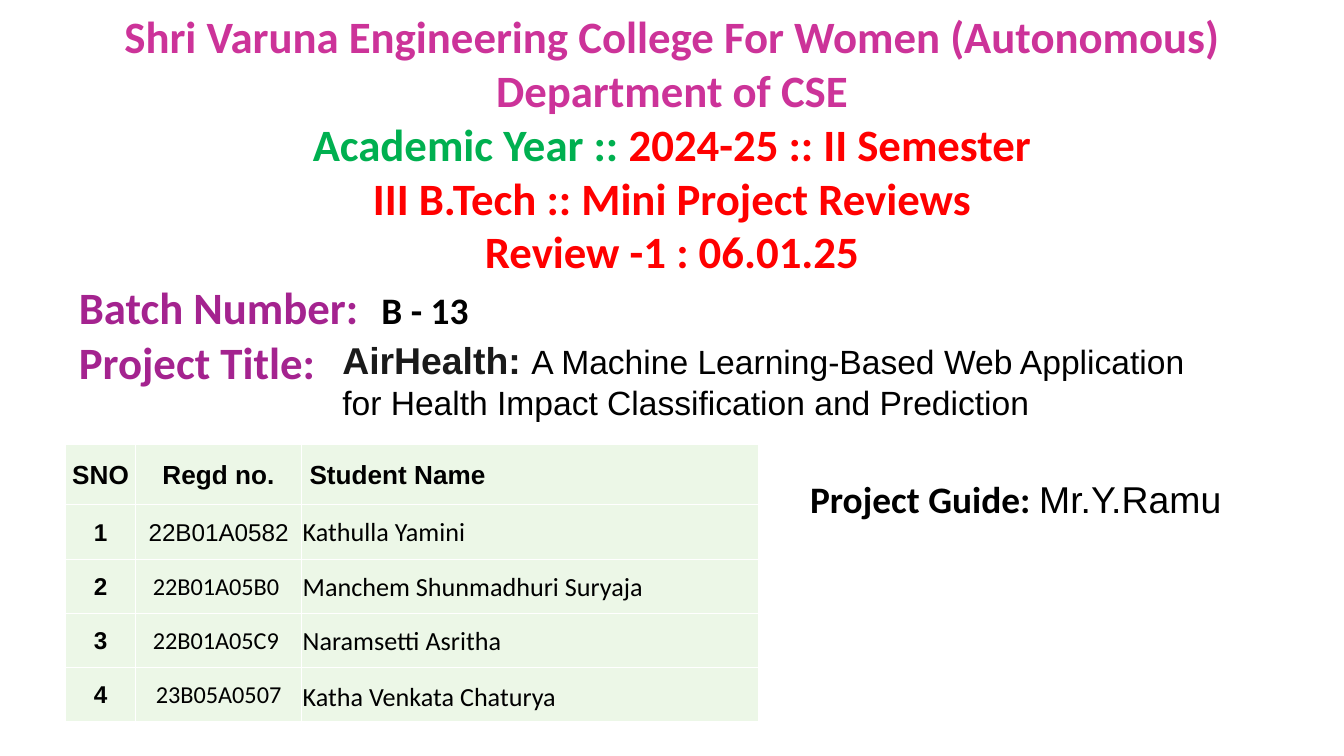
from lxml import etree
from pptx import Presentation
from pptx.dml.color import RGBColor
from pptx.enum.text import MSO_ANCHOR, PP_ALIGN
from pptx.oxml.ns import qn
from pptx.util import Cm, Pt

LEFT, CENTER, MIDDLE = PP_ALIGN.LEFT, PP_ALIGN.CENTER, MSO_ANCHOR.MIDDLE
PINK = RGBColor(0xCC, 0x33, 0x99)
PURPLE = RGBColor(0xA4, 0x23, 0x8F)
GREEN = RGBColor(0x00, 0xB0, 0x50)
RED = RGBColor(0xFF, 0x00, 0x00)
BLACK = RGBColor(0x00, 0x00, 0x00)
DARK = RGBColor(0x1A, 0x1A, 0x1A)
PALE = RGBColor(0xEC, 0xF7, 0xE7)

STUDENTS = [
    ("22B01A0582", "Kathulla Yamini"),
    ("22B01A05B0", "Manchem Shunmadhuri Suryaja"),
    ("22B01A05C9", "Naramsetti Asritha"),
    ("23B05A0507", "Katha Venkata Chaturya"),
]


def add_run(p, text, size, color=BLACK, bold=True, font="Calibri"):
    """Append a formatted run to a paragraph."""
    r = p.add_run()
    r.text = text
    r.font.size, r.font.bold, r.font.name = Pt(size), bold, font
    r.font.color.rgb = color


def add_text(s, left, top, width, height, lines, align=LEFT, inset=0.25):
    """Add a wrapped text box; each line is a list of run arguments."""
    tf = s.shapes.add_textbox(Cm(left), Cm(top), Cm(width), Cm(height)).text_frame
    tf.word_wrap = True
    tf.margin_top = tf.margin_bottom = Cm(inset)
    for i, line in enumerate(lines):
        p = tf.add_paragraph() if i else tf.paragraphs[0]
        p.alignment = align
        for run in line:
            add_run(p, *run)
    return tf


def set_tab(p, position):
    """Give a paragraph one left tab stop."""
    tabs = etree.SubElement(p._p.get_or_add_pPr(), qn("a:tabLst"))
    etree.SubElement(tabs, qn("a:tab"), pos=str(Cm(position)), algn="l")


def set_borders(cell):
    """Draw thin white borders on all sides of a cell."""
    tcPr = cell._tc.get_or_add_tcPr()
    for side in ("lnL", "lnR", "lnT", "lnB"):
        ln = etree.SubElement(tcPr, qn(f"a:{side}"), w=str(Pt(1)))
        fill = etree.SubElement(ln, qn("a:solidFill"))
        etree.SubElement(fill, qn("a:srgbClr"), val="FFFFFF")


def fill_cell(cell, text, size, bold, font, align=CENTER, indent=0.02):
    """Write and style one table cell."""
    set_borders(cell)
    cell.fill.solid()
    cell.fill.fore_color.rgb = PALE
    cell.vertical_anchor = MIDDLE
    cell.margin_left = Cm(indent)
    cell.margin_right = cell.margin_top = Cm(0.02)
    cell.margin_bottom = 0
    p = cell.text_frame.paragraphs[0]
    p.alignment = align
    add_run(p, text, size, BLACK, bold, font)


def add_students(s):
    """Add the table of students."""
    table = s.shapes.add_table(len(STUDENTS) + 1, 3, Cm(1.24), Cm(8.4), Cm(13.1), Cm(5.24)).table
    for column, width in zip(table.columns, (1.32, 3.14, 8.64)):
        column.width = Cm(width)
    for row, height in zip(table.rows, (1.14, 1.04, 1.02, 1.02, 1.02)):
        row.height = Cm(height)
    fill_cell(table.cell(0, 0), "SNO", 14, True, "Arial")
    fill_cell(table.cell(0, 1), "Regd no.", 14, True, "Arial")
    fill_cell(table.cell(0, 2), "Student Name", 14, True, "Arial", LEFT, 0.15)
    for i, (number, name) in enumerate(STUDENTS, 1):
        fill_cell(table.cell(i, 0), str(i), 13, True, "Arial")
        font = "Arial" if i == 1 else "Calibri"
        align, indent = (LEFT, 0.33) if i in (2, 3) else (CENTER, 0.02)
        fill_cell(table.cell(i, 1), number, 13, False, font, align, indent)
        fill_cell(table.cell(i, 2), name, 14, False, "Calibri", LEFT)
    table.cell(len(STUDENTS), 2).text_frame.paragraphs[0].line_spacing = 1.15


def main():
    """Build the title slide of the project review."""
    prs = Presentation()
    prs.slide_width, prs.slide_height = Cm(25.4), Cm(14.29)
    s = prs.slides.add_slide(prs.slide_layouts[6])
    add_students(s)
    add_text(s, 0, -0.08, 25.4, 5.64, [
        [("Shri Varuna Engineering College For Women (Autonomous)", 24, PINK)],
        [("Department of CSE", 24, PINK)],
        [("Academic Year :: ", 24, GREEN), ("2024-25 :: II Semester", 24, RED)],
        [("III B.Tech :: Mini Project Reviews", 24, RED)],
        [("Review -1 : 06.01.25", 24, RED)],
    ], CENTER)
    tf = add_text(s, 1.24, 4.9, 22.83, 3.58, [
        [("Batch Number:", 24, PURPLE), ("\t", 28, PURPLE), ("B - 13", 20)],
        [("Project Title:", 24, PURPLE)],
    ])
    set_tab(tf.paragraphs[0], 5.72)
    add_text(s, 15.06, 8.76, 9.02, 1.37, [
        [("Project Guide: ", 20), ("Mr.Y.Ramu", 20, BLACK, False, "Arial")],
    ])
    add_text(s, 6.22, 6.25, 16.79, 1.88, [
        [("AirHealth: ", 20, DARK, True, "Arial"),
         ("A Machine Learning-Based Web Application for Health Impact "
          "Classification and Prediction", 18, BLACK, False, "Arial")],
    ], inset=0.13)
    prs.save("out.pptx")


if __name__ == "__main__":
    main()
